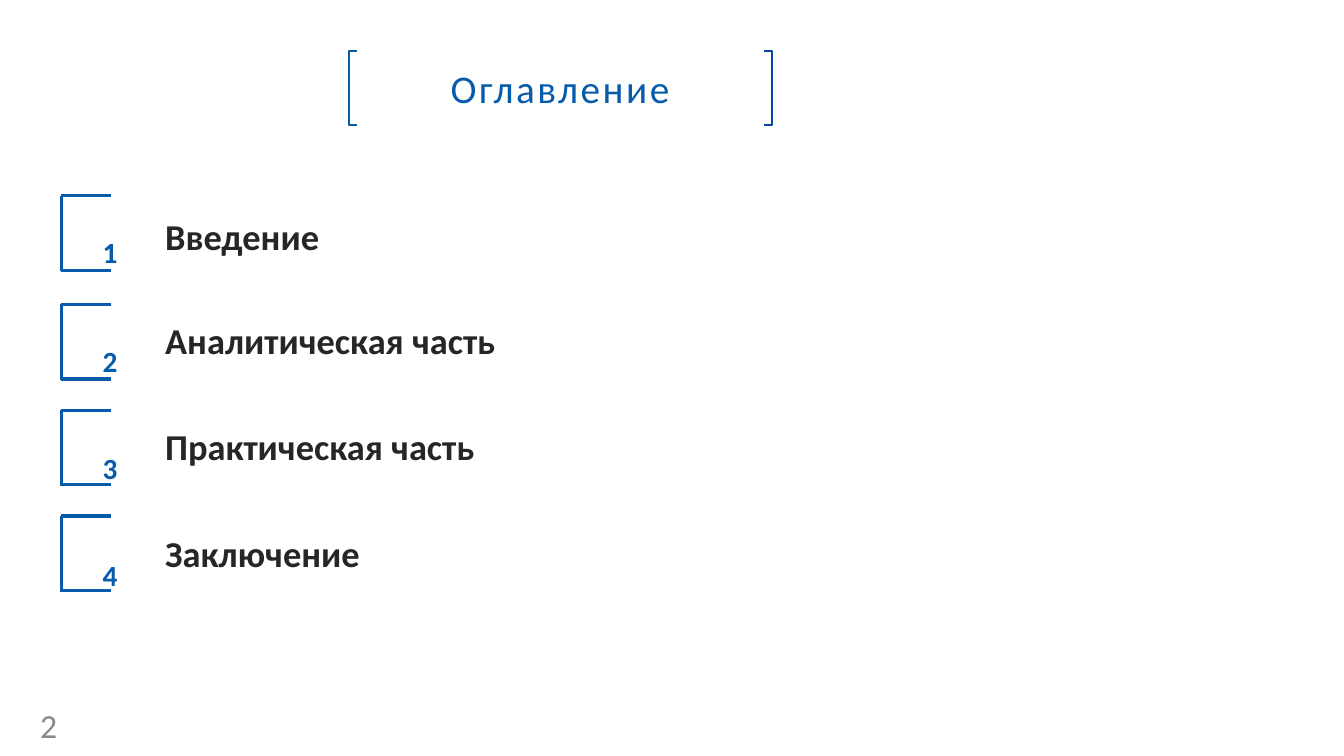
from dataclasses import dataclass

from lxml import etree
from pptx import Presentation
from pptx import util as u
from pptx.dml.color import RGBColor
from pptx.enum import shapes, text
from pptx.oxml.ns import qn

PX = 9144  # EMU in one px, 100 px to the inch
BLUE, DEEP_BLUE, DARK, GREY, WHITE = "065CAB", "0046A2", "262626", "898989", "FFFFFF"
FONT = "Calibri"

# Contents rows
BRACKET_LEFT, BRACKET_RIGHT, BRACKET_HEIGHT = 61, 110, 74
NUMBER_LEFT, NUMBER_WIDTH, NUMBER_HEIGHT = 92, 118, 70
LABEL_LEFT, LABEL_WIDTH, LABEL_HEIGHT = 154, 681, 53

# Title frame
TITLE_LEFT, TITLE_TOP, TITLE_WIDTH, TITLE_HEIGHT = 346, 51, 419, 73
HOOK = 8


@dataclass
class Item:
    label: str
    bracket_top: int
    label_top: int
    number_top: int


ITEMS = [
    Item("Введение", 194, 208, 222),
    Item("Аналитическая часть", 302, 311, 330),
    Item("Практическая часть", 407, 416, 436),
    Item("Заключение", 512, 522, 542),
]


def px(n: int) -> u.Emu:
    return u.Emu(n * PX)


def rgb(color: str) -> RGBColor:
    return RGBColor.from_string(color)


def add_run(p, content: str, size: int, color: str, bold: bool = False):
    r = p.add_run()
    r.text = content
    r.font.name, r.font.size, r.font.bold = FONT, u.Pt(size), bold
    r.font.color.rgb = rgb(color)
    return r


def add_text(s, content: str, left: int, top: int, width: int, height: int,
             size: int, color: str, bold: bool = False, middle: bool = False):
    tf = s.shapes.add_textbox(px(left), px(top), px(width), px(height)).text_frame
    tf.word_wrap = True
    if middle:
        tf.vertical_anchor = text.MSO_ANCHOR.MIDDLE
    else:
        tf.auto_size = text.MSO_AUTO_SIZE.SHAPE_TO_FIT_TEXT
    return add_run(tf.paragraphs[0], content, size, color, bold)


def add_hook(s, inner: int, outer: int, color: str) -> None:
    top, bottom = TITLE_TOP, TITLE_TOP + TITLE_HEIGHT
    fb = s.shapes.build_freeform(inner, top, scale=PX)
    fb.add_line_segments([(outer, top), (outer, bottom), (inner, bottom)], close=False)
    sp = fb.convert_to_shape()
    sp.shadow.inherit = False
    sp.fill.background()
    sp.line.color.rgb, sp.line.width = rgb(color), u.Pt(1.3)


def add_title(s, content: str) -> None:
    sp = s.shapes.add_shape(shapes.MSO_SHAPE.RECTANGLE, px(TITLE_LEFT), px(TITLE_TOP),
                            px(TITLE_WIDTH), px(TITLE_HEIGHT))
    sp.shadow.inherit = False
    sp.fill.solid()
    sp.fill.fore_color.rgb = rgb(WHITE)
    sp.line.color.rgb, sp.line.width = rgb(WHITE), u.Pt(2)
    tf = sp.text_frame
    tf.word_wrap = True
    tf.vertical_anchor = text.MSO_ANCHOR.MIDDLE
    p = tf.paragraphs[0]
    p.alignment = text.PP_ALIGN.CENTER
    r = add_run(p, content, 28, BLUE)

    # Letter spacing and a thin text outline
    rpr = r._r.get_or_add_rPr()
    rpr.set("spc", "180")
    ln = etree.Element(qn("a:ln"), w=str(u.Pt(0.75)))
    fill = etree.SubElement(ln, qn("a:solidFill"))
    etree.SubElement(fill, qn("a:srgbClr"), val=BLUE)
    rpr.insert(0, ln)

    right = TITLE_LEFT + TITLE_WIDTH
    add_hook(s, TITLE_LEFT + HOOK, TITLE_LEFT, BLUE)
    add_hook(s, right - HOOK + 1, right + 1, DEEP_BLUE)


def add_bracket(s, top: int) -> None:
    group = s.shapes.add_group_shape()
    left, right, bottom = BRACKET_LEFT, BRACKET_RIGHT, top + BRACKET_HEIGHT
    for x1, y1, x2, y2 in [(left, top, left, bottom + 1),
                           (left, top, right, top),
                           (left, bottom, right, bottom)]:
        line = group.shapes.add_connector(shapes.MSO_CONNECTOR.STRAIGHT,
                                          px(x1), px(y1), px(x2), px(y2))
        line.line.color.rgb, line.line.width = rgb(BLUE), u.Pt(2.25)
        etree.SubElement(line._element.spPr, qn("a:effectLst"))


def add_item(s, number: int, item: Item) -> None:
    add_bracket(s, item.bracket_top)
    add_text(s, item.label, LABEL_LEFT, item.label_top, LABEL_WIDTH, LABEL_HEIGHT,
             26, DARK, bold=True)
    r = add_text(s, str(number), NUMBER_LEFT, item.number_top, NUMBER_WIDTH, NUMBER_HEIGHT,
                 36, BLUE, bold=True)
    r._r.get_or_add_rPr().set("baseline", "30000")


def main() -> None:
    prs = Presentation()
    prs.slide_width, prs.slide_height = px(1333), px(750)
    s = prs.slides.add_slide(prs.slide_layouts[6])
    add_title(s, "Оглавление")
    # Page number
    add_text(s, "2", 30, 704, 62, 30, 24, GREY, middle=True)
    for number, item in enumerate(ITEMS, start=1):
        add_item(s, number, item)
    prs.save("out.pptx")


if __name__ == "__main__":
    main()
